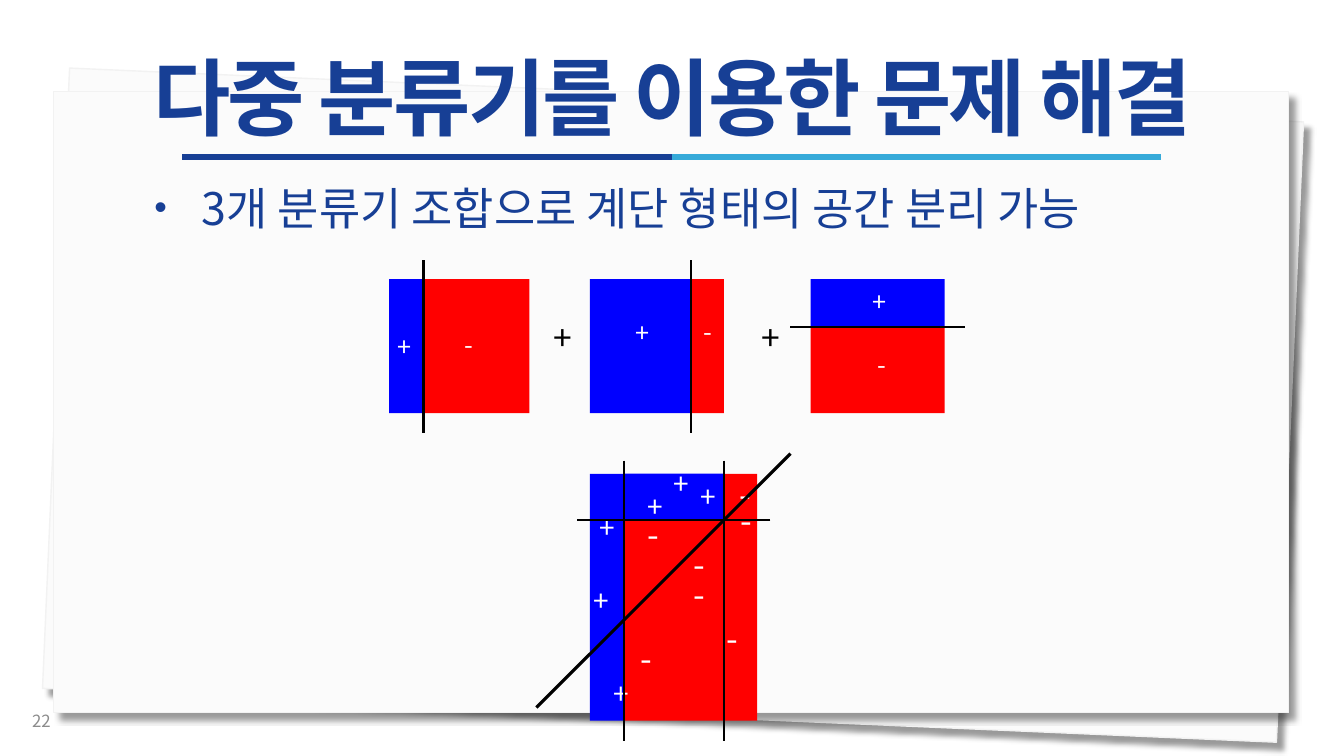
from lxml import etree
from pptx import Presentation
from pptx.dml.color import RGBColor
from pptx.enum.shapes import MSO_CONNECTOR, MSO_SHAPE
from pptx.enum.text import MSO_ANCHOR, MSO_AUTO_SIZE, PP_ALIGN
from pptx.oxml import parse_xml
from pptx.oxml.ns import qn
from pptx.util import Pt

PX = 9144  # EMU per px, 100 px to the inch
FONT = "Noto Sans CJK KR"
COLORS = {
    "sheet": "FBFBFB", "edge": "F2F2F2", "navy": "173F95", "sky": "36AAD9",
    "gray": "8C8C8C", "blue": "0000FF", "red": "FF0000",
    "white": "FFFFFF", "black": "000000",
}
STRAIGHT = MSO_CONNECTOR.STRAIGHT
RECTANGLE = MSO_SHAPE.RECTANGLE
TOP, MIDDLE = MSO_ANCHOR.TOP, MSO_ANCHOR.MIDDLE
NO_FIT = MSO_AUTO_SIZE.NONE
CENTER, LEFT = PP_ALIGN.CENTER, PP_ALIGN.LEFT
SHEET_SHADOW = (
    '<a:effectLst xmlns:a="http://schemas.openxmlformats.org/drawingml/2006/main">'
    '<a:outerShdw blurRad="50800" dist="88900" dir="2700000" algn="tl" rotWithShape="0">'
    '<a:srgbClr val="000000"><a:alpha val="40000"/></a:srgbClr>'
    "</a:outerShdw></a:effectLst>"
)


def rgb(name):
    return RGBColor.from_string(COLORS[name])


class Board:
    """Draws styled elements on one slide."""

    def __init__(self, slide):
        self.slide = slide
        self.shapes = slide.shapes

    def rect(self, x, y, w, h, color):
        box = self.shapes.add_shape(RECTANGLE, x * PX, y * PX, w * PX, h * PX)
        box.shadow.inherit = False
        box.fill.solid()
        box.fill.fore_color.rgb = rgb(color)
        box.line.fill.background()
        return box

    def sheet(self, x, y, w, h, angle):
        paper = self.rect(x, y, w, h, "sheet")
        paper.rotation = angle
        paper.line.color.rgb = rgb("edge")
        paper.line.width = Pt(1)
        properties = paper._element.spPr
        properties.remove(properties.find(qn("a:effectLst")))
        properties.append(parse_xml(SHEET_SHADOW))

    def line(self, x1, y1, x2, y2, color="black", width=1.5):
        rule = self.shapes.add_connector(STRAIGHT, x1 * PX, y1 * PX, x2 * PX, y2 * PX)
        rule.line.color.rgb = rgb(color)
        rule.line.width = Pt(width)
        etree.SubElement(rule._element.spPr, qn("a:effectLst"))

    def set_text(self, frame, text, size, color, anchor=TOP, align=LEFT, bold=False):
        frame.auto_size = NO_FIT
        frame.vertical_anchor = anchor
        frame.margin_top = frame.margin_bottom = 0
        paragraph = frame.paragraphs[0]
        paragraph.text = text
        paragraph.alignment = align
        font = paragraph.font
        font.name, font.size, font.bold = FONT, Pt(size), bold
        font.color.rgb = rgb(color)
        etree.SubElement(font._element, qn("a:ea")).set("typeface", FONT)
        return paragraph

    def label(self, x, y, w, h, text, size, color="white", anchor=TOP):
        box = self.shapes.add_textbox(x * PX, y * PX, w * PX, h * PX)
        box.text_frame.word_wrap = True
        self.set_text(box.text_frame, text, size, color, anchor)

    def place(self, holder, x, y, w, h):
        holder.left, holder.top = x * PX, y * PX
        holder.width, holder.height = w * PX, h * PX
        self.shapes._spTree.append(holder._element)  # bring to front

    def title(self, x, y, w, h, text):
        heading = self.shapes.title
        self.place(heading, x, y, w, h)
        line = self.set_text(heading.text_frame, text, 60, "navy", MIDDLE, CENTER, True)
        line.line_spacing = 0.9
        line.font._element.set("spc", "-190")

    def bullet(self, x, y, w, h, text):
        body = self.slide.placeholders[1]
        self.place(body, x, y, w, h)
        item = self.set_text(body.text_frame, text, 32, "navy")
        item.space_before, item.space_after = Pt(0), Pt(18)
        properties = item._p.get_or_add_pPr()
        properties.set("marL", str(49 * PX))
        properties.set("indent", str(-47 * PX))
        marks = (("a:buSzPct", "val", "80000"), ("a:buFont", "typeface", "Arial"),
                 ("a:buChar", "char", "•"))
        for tag, key, value in marks:
            mark = etree.Element(qn(tag))
            mark.set(key, value)
            properties.find(qn("a:defRPr")).addprevious(mark)


def main():
    deck = Presentation()
    deck.slide_width, deck.slide_height = 1333 * PX, 750 * PX
    board = Board(deck.slides.add_slide(deck.slide_layouts[1]))

    # Paper sheets and two-tone underline
    board.sheet(55, 94, 1225, 616, 2.5)
    board.sheet(53, 91, 1225, 616, 0)
    board.line(181, 156, 667, 156, "navy", 4.5)
    board.line(667, 156, 1152, 156, "sky", 4.5)

    # Title, list and page number
    board.title(0, 56, 1334, 90, "다중 분류기를 이용한 문제 해결")
    board.bullet(141, 179, 1059, 64, "3개 분류기 조합으로 계단 형태의 공간 분리 가능")
    board.label(22, 695, 300, 40, "22", 12, "gray", MIDDLE)

    # Combined classifier: regions
    for region in (
        (585, 470, 34, 245, "blue"), (718, 470, 33, 245, "red"),
        (619, 470, 99, 46, "blue"), (619, 516, 99, 199, "red"),
    ):
        board.rect(*region)

    # Combined classifier: samples
    for x, y in ((685, 476), (658, 463), (632, 486), (585, 506), (599, 671), (579, 579)):
        board.label(x, y, 27, 37, "+", 20)
    for x, y in ((724, 470), (725, 496), (711, 613), (625, 633),
                 (632, 510), (678, 540), (678, 569)):
        board.label(x, y, 27, 43, "-", 24)

    # Combined classifier: boundaries
    for x in (619, 718):
        board.line(x, 457, x, 735)
    board.line(764, 516, 572, 516)
    board.line(784, 450, 532, 702, width=2.25)

    # Three single classifiers
    for region in (
        (386, 277, 34, 133, "blue"), (420, 277, 105, 133, "red"),
        (585, 277, 100, 133, "blue"), (685, 277, 33, 133, "red"),
        (804, 277, 133, 47, "blue"), (804, 324, 133, 86, "red"),
    ):
        board.rect(*region)
    for x in (420, 685):
        board.line(x, 258, x, 430)
    board.line(957, 324, 784, 324)

    # Signs between and inside the classifiers
    for x in (539, 745):
        board.label(x, 314, 60, 43, "+", 24, "black")
    for x, y, sign in ((384, 329, "+"), (451, 327, "-"), (620, 315, "+"),
                       (688, 314, "-"), (856, 284, "+"), (861, 347, "-")):
        board.label(x, y, 34, 34, sign, 18)

    deck.save("out.pptx")


if __name__ == "__main__":
    main()
